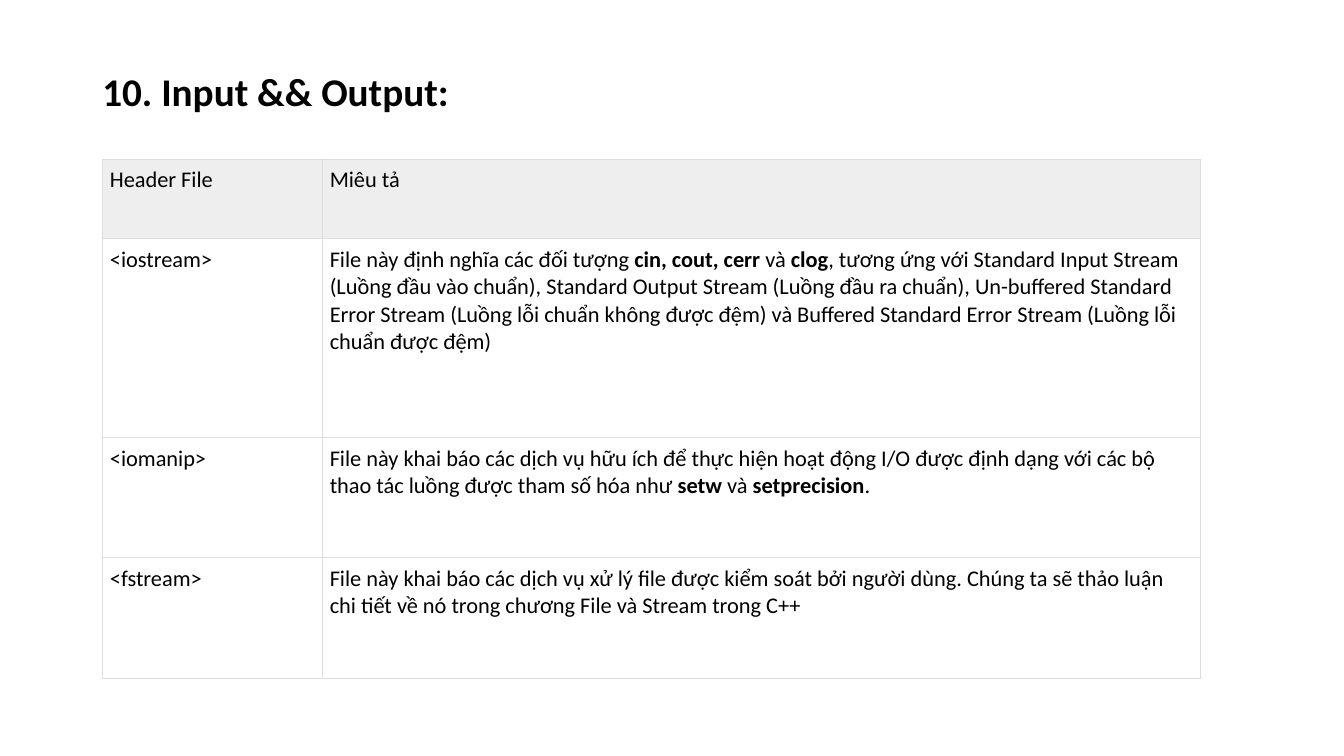
from lxml.etree import SubElement
from pptx import Presentation
from pptx.dml.color import RGBColor
from pptx.oxml.ns import qn
from pptx.util import Cm, Pt

BLACK = RGBColor(0x00, 0x00, 0x00)
HEADER_GREY = RGBColor(0xEE, 0xEE, 0xEE)
BORDER_GREY = RGBColor(0xDD, 0xDD, 0xDD)

COLUMN_WIDTHS = (5.54, 22.12)
ROW_HEIGHTS = (2.01, 5.01, 3.03, 3.03)
HEADER_FILES = (
    ("Header File", "Miêu tả"),
    ("<iostream>",
     "File này định nghĩa các đối tượng *cin, cout, cerr* và *clog*, tương ứng với "
     "Standard Input Stream (Luồng đầu vào chuẩn), Standard Output Stream (Luồng đầu ra "
     "chuẩn), Un-buffered Standard Error Stream (Luồng lỗi chuẩn không được đệm) và "
     "Buffered Standard Error Stream (Luồng lỗi chuẩn được đệm)"),
    ("<iomanip>",
     "File này khai báo các dịch vụ hữu ích để thực hiện hoạt động I/O được định dạng với "
     "các bộ thao tác luồng được tham số hóa như *setw* và *setprecision*."),
    ("<fstream>",
     "File này khai báo các dịch vụ xử lý file được kiểm soát bởi người dùng. Chúng ta sẽ "
     "thảo luận chi tiết về nó trong chương File và Stream trong C++"),
)


class SlideBuilder:
    font_name = "Calibri"
    title_size = Pt(28)
    body_size = Pt(16)
    cell_margin = Cm(0.18)
    border_width = Pt(0.75)

    def __init__(self, page):
        self.page = page

    def add_spans(self, para, text, size, bold=False):
        """Fill a paragraph; parts between asterisks switch the weight."""
        for index, part in enumerate(text.split("*")):
            span = para.add_run()
            span.text = part
            span.font.name = self.font_name
            span.font.size = size
            span.font.bold = bold != (index % 2 == 1)
            span.font.color.rgb = BLACK

    def title(self, text, left, top, width, height):
        box = self.page.shapes.add_textbox(Cm(left), Cm(top), Cm(width), Cm(height))
        box.text_frame.word_wrap = True
        para = box.text_frame.paragraphs[0]
        para.line_spacing = 0.9
        self.add_spans(para, text, self.title_size, bold=True)

    def table(self, rows, left, top, widths, heights):
        table = self.page.shapes.add_table(
            len(rows), len(widths), Cm(left), Cm(top),
            Cm(sum(widths)), Cm(sum(heights))).table
        table.horz_banding = False
        for column, width in zip(table.columns, widths):
            column.width = Cm(width)
        for row_index, (texts, height) in enumerate(zip(rows, heights)):
            table.rows[row_index].height = Cm(height)
            for column_index, text in enumerate(texts):
                self.cell(table.cell(row_index, column_index), text, row_index == 0)

    def cell(self, cell, text, is_header):
        cell.margin_left = cell.margin_right = self.cell_margin
        cell.margin_top = cell.margin_bottom = self.cell_margin
        self.add_spans(cell.text_frame.paragraphs[0], text, self.body_size)
        self.borders(cell)
        if is_header:
            cell.fill.solid()
            cell.fill.fore_color.rgb = HEADER_GREY
        else:
            cell.fill.background()

    def borders(self, cell):
        properties = cell._tc.get_or_add_tcPr()
        for side in ("a:lnL", "a:lnR", "a:lnT", "a:lnB"):
            line = SubElement(properties, qn(side), w=str(self.border_width))
            fill = SubElement(line, qn("a:solidFill"))
            SubElement(fill, qn("a:srgbClr"), val=str(BORDER_GREY))


def main():
    deck = Presentation()
    deck.slide_width, deck.slide_height = Cm(33.87), Cm(19.05)
    builder = SlideBuilder(deck.slides.add_slide(deck.slide_layouts[6]))
    builder.title("10. Input && Output:", 2.33, 1.7, 29.21, 15.44)
    builder.table(HEADER_FILES, 2.59, 4.01, COLUMN_WIDTHS, ROW_HEIGHTS)
    deck.save("out.pptx")


if __name__ == "__main__":
    main()
